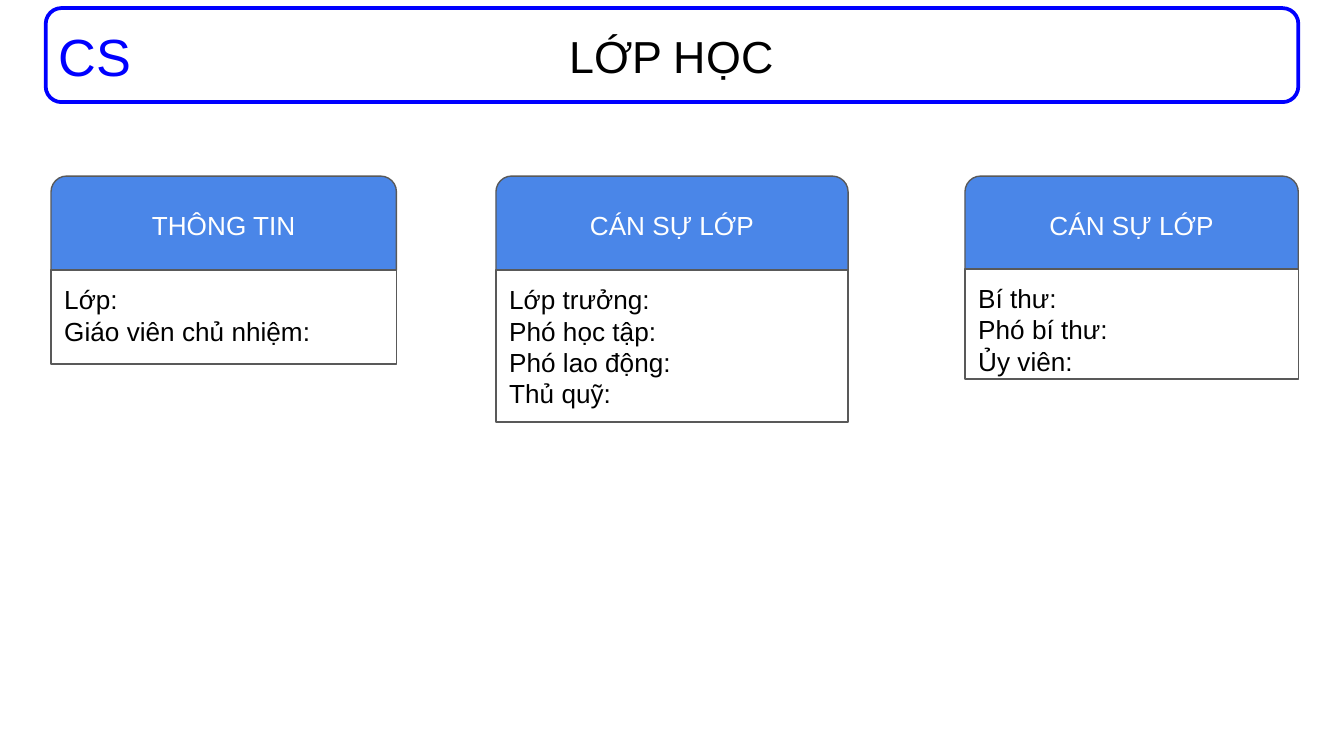
from dataclasses import dataclass

from pptx import Presentation
from pptx.dml.color import RGBColor
from pptx.enum.shapes import MSO_SHAPE
from pptx.enum.text import MSO_ANCHOR, PP_ALIGN
from pptx.shapes.autoshape import Shape
from pptx.shapes.shapetree import GroupShapes, SlideShapes
from pptx.util import Emu, Inches, Pt

WIDTH = Inches(10)
HEIGHT = Emu(WIDTH * 9 // 16)
BAND = 12.44
CARD_TOP = 23.29
CORNER = 0.167


@dataclass(frozen=True)
class Theme:
    """Colours, font and type sizes of the slide."""
    font: str = "Arial"
    accent: RGBColor = RGBColor(0x00, 0x00, 0xFF)
    header: RGBColor = RGBColor(0x4A, 0x86, 0xE8)
    outline: RGBColor = RGBColor(0x59, 0x59, 0x59)
    ink: RGBColor = RGBColor(0x00, 0x00, 0x00)
    paper: RGBColor = RGBColor(0xFF, 0xFF, 0xFF)
    logo_size: int = 28
    title_size: int = 24
    card_size: int = 14


@dataclass(frozen=True)
class Box:
    """A rectangle in percent of the slide's width and height."""
    left: float
    top: float
    width: float
    height: float

    def emu(self) -> tuple[Emu, Emu, Emu, Emu]:
        """Return the rectangle as left, top, width and height."""
        return (Emu(round(WIDTH * self.left / 100)), Emu(round(HEIGHT * self.top / 100)),
                Emu(round(WIDTH * self.width / 100)), Emu(round(HEIGHT * self.height / 100)))


@dataclass(frozen=True)
class Card:
    """A class with its name and its attributes."""
    left: float
    width: float
    body_top: float
    body_height: float
    name: str
    fields: tuple[str, ...]


THEME = Theme()
CARDS = (
    Card(3.8, 25.7, 35.73, BAND, "THÔNG TIN", ("Lớp:", "Giáo viên chủ nhiệm:")),
    Card(36.9, 26.2, 35.73, 20.09, "CÁN SỰ LỚP",
         ("Lớp trưởng:", "Phó học tập:", "Phó lao động:", "Thủ quỹ:")),
    Card(71.8, 24.8, 35.56, 14.58, "CÁN SỰ LỚP", ("Bí thư:", "Phó bí thư:", "Ủy viên:")),
)


def write(s: Shape, text: str, size: int, color: RGBColor,
          centred: bool = False, inset: float = 0.1) -> None:
    """Fill a shape with text, centred both ways or starting at the top left."""
    tf = s.text_frame
    tf.word_wrap = True
    tf.margin_left = tf.margin_right = Inches(0.1)
    tf.margin_top = tf.margin_bottom = Inches(inset)
    tf.vertical_anchor = MSO_ANCHOR.MIDDLE if centred else MSO_ANCHOR.TOP
    tf.text = text
    for p in tf.paragraphs:
        p.alignment = PP_ALIGN.CENTER if centred else PP_ALIGN.LEFT
        for r in p.runs:
            r.font.name = THEME.font
            r.font.size = Pt(size)
            r.font.color.rgb = color


def add_panel(shapes: SlideShapes | GroupShapes, kind: MSO_SHAPE, box: Box,
              fill: RGBColor | None, line: RGBColor, weight: float) -> Shape:
    """Draw an outlined shape with an optional fill."""
    s = shapes.add_shape(kind, *box.emu())
    s.shadow.inherit = False
    if fill is None:
        s.fill.background()
    else:
        s.fill.solid()
        s.fill.fore_color.rgb = fill
    s.line.color.rgb = line
    s.line.width = Pt(weight)
    if len(s.adjustments):
        s.adjustments[0] = CORNER
    return s


def add_banner(shapes: SlideShapes) -> None:
    """Draw the grouped title banner."""
    group = shapes.add_group_shape().shapes
    add_panel(group, MSO_SHAPE.ROUNDED_RECTANGLE, Box(3.4, 1.07, 93.2, BAND),
              None, THEME.accent, 2)
    logo = group.add_textbox(*Box(3.4, 2.31, 30.5, 10.13).emu())
    write(logo, "CS", THEME.logo_size, THEME.accent, inset=0.05)
    title = group.add_textbox(*Box(36.9, 1.07, 26.1, BAND).emu())
    write(title, "LỚP HỌC", THEME.title_size, THEME.ink, centred=True)


def add_card(shapes: SlideShapes, card: Card) -> None:
    """Draw a class card: a header above its list of attributes."""
    header = add_panel(shapes, MSO_SHAPE.ROUND_2_SAME_RECTANGLE,
                       Box(card.left, CARD_TOP, card.width, BAND),
                       THEME.header, THEME.outline, 0.75)
    write(header, card.name, THEME.card_size, THEME.paper, centred=True)
    body = add_panel(shapes, MSO_SHAPE.RECTANGLE,
                     Box(card.left, card.body_top, card.width, card.body_height),
                     THEME.paper, THEME.outline, 0.75)
    write(body, "\n".join(card.fields), THEME.card_size, THEME.ink)


def main() -> None:
    """Build and save the slide."""
    prs = Presentation()
    prs.slide_width, prs.slide_height = WIDTH, HEIGHT
    slide = prs.slides.add_slide(prs.slide_layouts[6])
    add_banner(slide.shapes)
    for card in CARDS:
        add_card(slide.shapes, card)
    prs.save("out.pptx")


if __name__ == "__main__":
    main()
